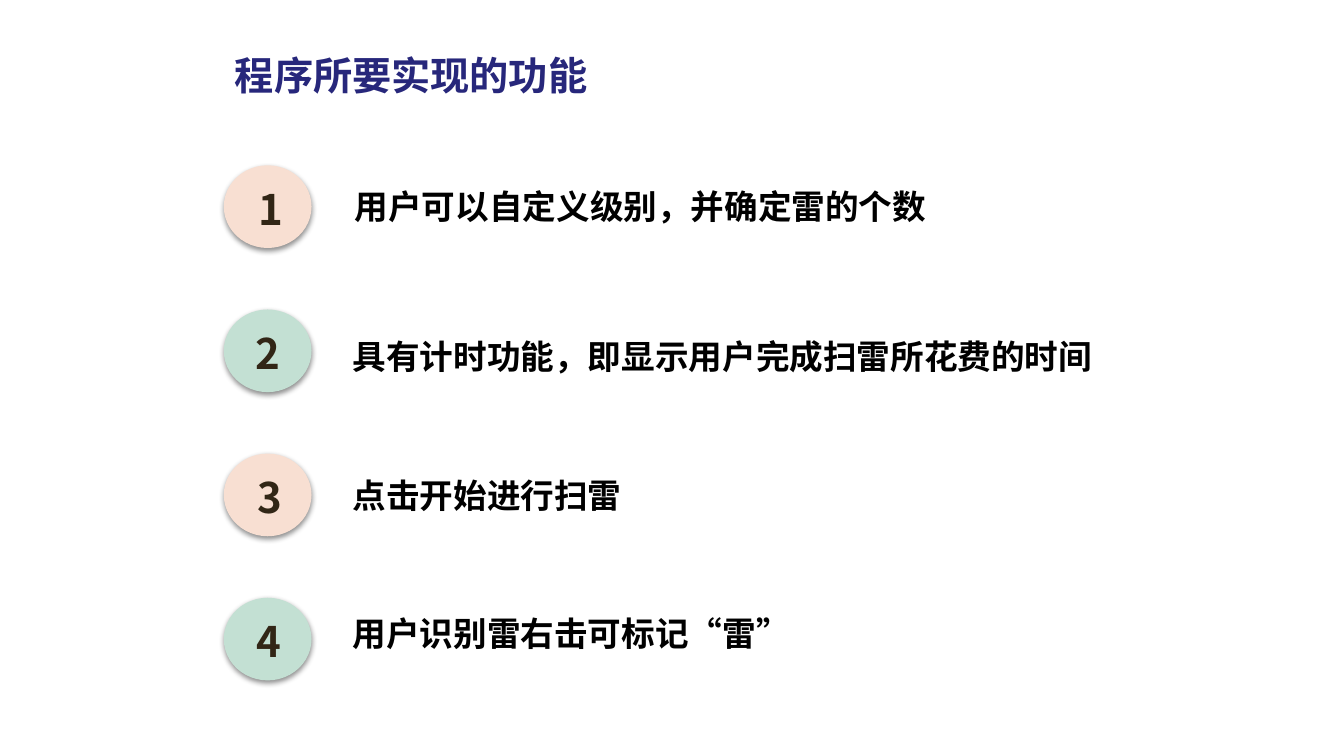
from dataclasses import dataclass

from lxml.etree import SubElement
from pptx import Presentation
from pptx.dml.color import RGBColor
from pptx.enum.shapes import MSO_SHAPE as Kind
from pptx.enum.text import MSO_ANCHOR as Anchor, MSO_AUTO_SIZE as Fit, PP_ALIGN as Align
from pptx.oxml.ns import qn
from pptx.slide import Slide
from pptx.text.text import TextFrame
from pptx.util import Inches, Pt

SANS = "Noto Sans CJK SC"
DIGIT = "Noto Sans CJK JP"
PEACH = "F8DFD2"
MINT = "C3E0D3"
TOP = 1.64
STEP = 1.43


@dataclass
class Item:
    text: str
    fill: str
    mark: float
    left: float
    top: float
    wide: float


ITEMS = [
    Item("用户可以自定义级别，并确定雷的个数", PEACH, 2.56, 3.42, 1.8, 6.28),
    Item("具有计时功能，即显示用户完成扫雷所花费的时间", MINT, 2.53, 3.4, 3.28, 7.61),
    Item("点击开始进行扫雷", PEACH, 2.55, 3.4, 4.66, 2.89),
    Item("用户识别雷右击可标记“雷”", MINT, 2.54, 3.4, 6.03, 4.58),
]


def color(code: str) -> RGBColor:
    return RGBColor.from_string(code)


def write(frame: TextFrame, text: str, size: float, face: str, tint: str,
          east: str = SANS) -> None:
    frame.text = text
    frame.vertical_anchor = Anchor.TOP
    para = frame.paragraphs[0]
    para.alignment = Align.LEFT
    font = para.font
    font.size, font.name, font.bold = Pt(size), face, True
    font.color.rgb = color(tint)
    props = para.runs[0].font
    props.name = face
    latin = para.runs[0]._r.rPr.find(qn("a:latin"))
    ea = latin.makeelement(qn("a:ea"), {"typeface": east})
    latin.addnext(ea)


def head(slide: Slide, text: str) -> None:
    title = slide.shapes.title
    title.left, title.top = Inches(2.23), Inches(0.46)
    title.width, title.height = Inches(3.75), Inches(0.57)
    frame = title.text_frame
    write(frame, text, 28, "Arial", "27277B")
    frame.word_wrap = False
    frame.auto_size = Fit.SHAPE_TO_FIT_TEXT


def disc(slide: Slide, top: float, fill: str) -> None:
    oval = slide.shapes.add_shape(
        Kind.OVAL, Inches(2.22), Inches(top), Inches(0.87), Inches(0.82))
    oval.fill.solid()
    oval.fill.fore_color.rgb = color(fill)
    oval.line.fill.background()
    oval.shadow.inherit = False
    effects = oval._element.spPr.find(qn("a:effectLst"))
    shade = SubElement(effects, qn("a:outerShdw"), blurRad=str(Pt(4)),
                       dist=str(Pt(2)), dir="5400000", rotWithShape="0")
    black = SubElement(shade, qn("a:srgbClr"), val="000000")
    SubElement(black, qn("a:alpha"), val="43000")


def digit(slide: Slide, text: str, left: float, top: float) -> None:
    box = slide.shapes.add_textbox(
        Inches(left), Inches(top), Inches(0.4), Inches(0.72))
    frame = box.text_frame
    frame.word_wrap = True
    frame.margin_left = frame.margin_right = 0
    frame.margin_top = frame.margin_bottom = Inches(0.07)
    write(frame, text, 30, DIGIT, "322616", DIGIT)


def label(slide: Slide, item: Item) -> None:
    box = slide.shapes.add_textbox(
        Inches(item.left), Inches(item.top), Inches(item.wide), Inches(0.5))
    frame = box.text_frame
    frame.word_wrap = False
    frame.auto_size = Fit.SHAPE_TO_FIT_TEXT
    write(frame, item.text, 24, SANS, "000000")


def main() -> None:
    deck = Presentation()
    deck.slide_width, deck.slide_height = Inches(13.33), Inches(7.5)
    slide = deck.slides.add_slide(deck.slide_layouts[5])
    head(slide, "程序所要实现的功能")
    for num, item in enumerate(ITEMS):
        top = TOP + num * STEP
        disc(slide, top, item.fill)
        digit(slide, str(num + 1), item.mark, top + 0.11)
        label(slide, item)
    deck.save("out.pptx")


if __name__ == "__main__":
    main()
